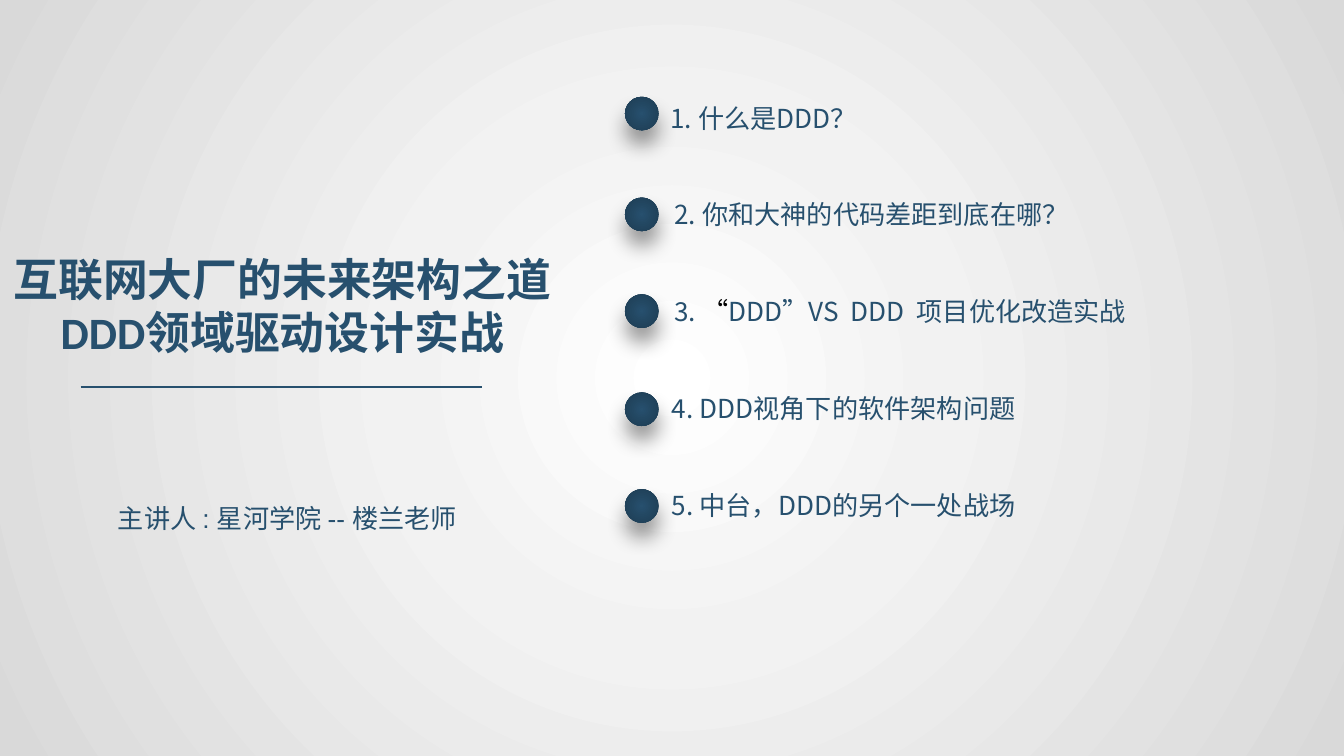
from pptx import Presentation
from pptx.dml.color import RGBColor
from pptx.enum.shapes import MSO_CONNECTOR as CONNECTOR, MSO_SHAPE as SHAPE
from pptx.enum.text import MSO_AUTO_SIZE as AUTO_SIZE, PP_ALIGN as ALIGN
from pptx.oxml import parse_xml
from pptx.oxml.ns import nsdecls, qn
from pptx.util import Inches, Pt

NAVY = "27506E"
CJK_FONT = "Noto Sans CJK SC"


def set_radial_gradient(fill, owner, stops):
    """Fill with a circular gradient running out from the centre."""
    fill.gradient()
    gradient = next(owner.iter(qn("a:gradFill")))
    stop_xml = "".join(
        f'<a:gs pos="{position * 1000}"><a:srgbClr val="{color}"/></a:gs>'
        for position, color in stops)
    gradient.getparent().replace(gradient, parse_xml(
        f'<a:gradFill {nsdecls("a")} rotWithShape="1"><a:gsLst>{stop_xml}</a:gsLst>'
        '<a:path path="circle"><a:fillToRect l="50000" t="50000" r="50000" b="50000"/>'
        '</a:path></a:gradFill>'))


def add_text(left, top, width, height, lines, size, align=ALIGN.LEFT, bold=False):
    """Add a text box; each line is a list of (text, font, color) runs."""
    box = slide.shapes.add_textbox(Inches(left), Inches(top), Inches(width), Inches(height))
    frame = box.text_frame
    frame.word_wrap = True
    frame.auto_size = AUTO_SIZE.SHAPE_TO_FIT_TEXT
    for index, runs in enumerate(lines):
        paragraph = frame.add_paragraph() if index else frame.paragraphs[0]
        paragraph.alignment = align
        for text, font, color in runs:
            run = paragraph.add_run()
            run.text = text
            run.font.name = font
            run.font.size = Pt(size)
            run.font.bold = bold
            run.font.color.rgb = RGBColor.from_string(color)
            run.font._element.append(
                parse_xml(f'<a:ea {nsdecls("a")} typeface="{CJK_FONT}"/>'))


# Widescreen 16:9 slide
presentation = Presentation()
presentation.slide_width = Inches(10)
presentation.slide_height = Inches(10 * 9 / 16)
slide = presentation.slides.add_slide(presentation.slide_layouts[6])

# Background
set_radial_gradient(slide.background.fill, slide._element,
                    [(0, "FFFFFF"), (35, "F2F2F2"), (100, "D9D9D9")])

# Title, rule and speaker
title = ["互联网大厂的未来架构之道", "DDD领域驱动设计实战"]
add_text(-0.01, 1.82, 4.22, 0.91, [[(line, "Calibri", NAVY)] for line in title],
         24, ALIGN.CENTER, bold=True)

rule = slide.shapes.add_connector(CONNECTOR.STRAIGHT, Inches(0.6), Inches(2.88),
                                  Inches(3.59), Inches(2.88))
rule.line.color.rgb = RGBColor.from_string(NAVY)
rule.line.width = Pt(1.5)
rule._element.spPr.append(parse_xml(f'<a:effectLst {nsdecls("a")}/>'))

add_text(0.77, 3.69, 2.74, 0.34, [[("主讲人 : 星河学院 -- 楼兰老师", "Arial", NAVY)]],
         14, ALIGN.CENTER)

# Agenda: left, top and width of each text, then its runs
agenda = [
    (4.89, 0.71, 1.64, [("1. 什么是DDD？", CJK_FONT, NAVY)]),
    (4.92, 1.43, 3.13, [("2. 你和大神的代码差距到底在哪？", CJK_FONT, NAVY)]),
    (4.92, 2.15, 3.65, [("3.", CJK_FONT, NAVY), (" “", "Calibri", "000000"),
                        ("DDD”VS  DDD  项目优化改造实战", CJK_FONT, NAVY)]),
    (4.9, 2.87, 2.81, [("4. DDD视角下的软件架构问题", CJK_FONT, NAVY)]),
    (4.9, 3.59, 2.81, [("5. 中台，DDD的另个一处战场", CJK_FONT, NAVY)]),
]
bullet_tops = [0.72, 1.47, 2.19, 2.92, 3.64]
for bullet_top, (left, top, width, runs) in zip(bullet_tops, agenda):
    bullet = slide.shapes.add_shape(SHAPE.OVAL, Inches(4.65), Inches(bullet_top),
                                    Inches(0.25), Inches(0.25))
    set_radial_gradient(bullet.fill, bullet._element, [(0, NAVY), (100, "1D3C52")])
    bullet.line.fill.background()
    bullet._element.spPr.append(parse_xml(
        f'<a:effectLst {nsdecls("a")}><a:outerShdw blurRad="{Pt(11)}" dist="{Pt(8)}" '
        'dir="5400000" algn="t" rotWithShape="0"><a:srgbClr val="000000">'
        '<a:alpha val="40000"/></a:srgbClr></a:outerShdw></a:effectLst>'))
    add_text(left, top, width, 0.34, [runs], 14)

presentation.save("out.pptx")
